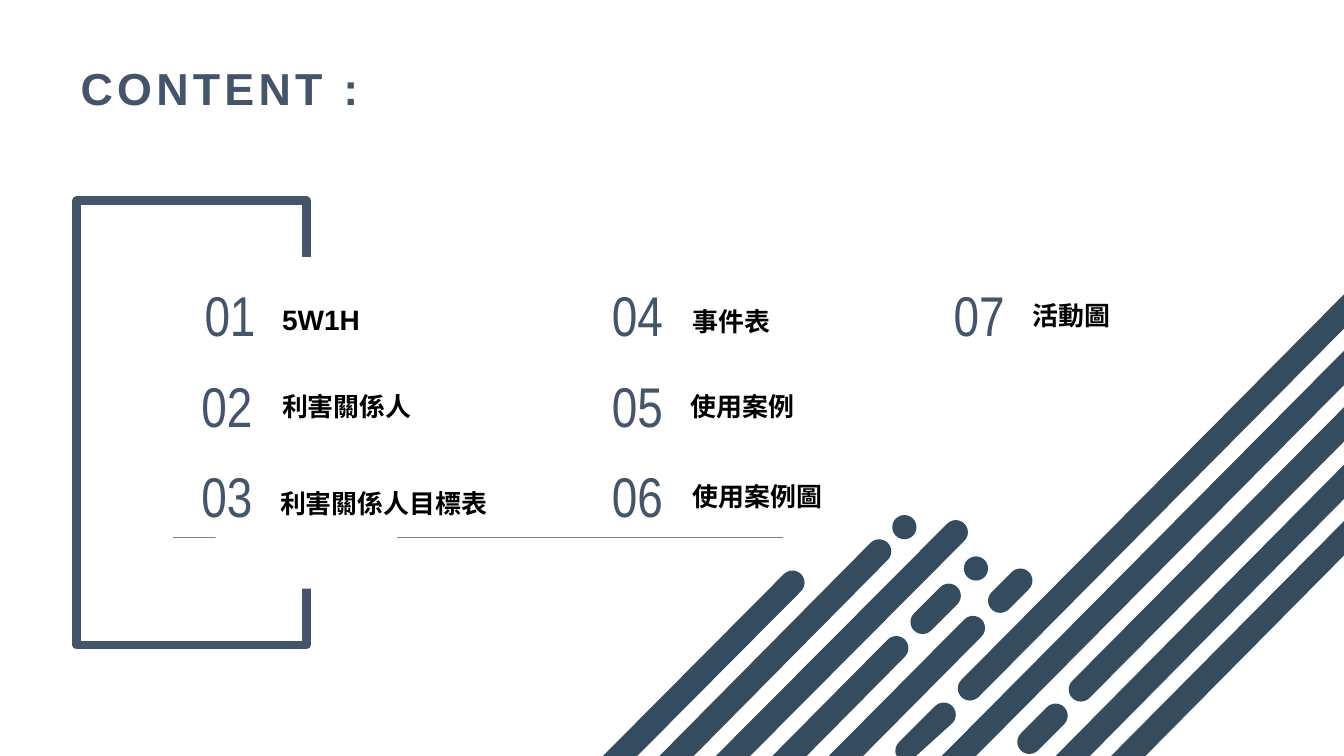
import math

import pptx
import pptx.dml.color
import pptx.enum.shapes
import pptx.enum.text
import pptx.oxml.ns
import pptx.util
from lxml import etree
from pptx.util import Inches

COLORS = {"slate": "44546A", "stripe": "354B5E", "rule": "808080", "white": "FFFFFF", "black": "000000"}
WIDTH, HEIGHT = 13.33, 7.5
RADIUS = 0.12
UNITS = 1000


def rgb(name):
    return pptx.dml.color.RGBColor.from_string(COLORS[name])


def write(shape, text, size, font, color, bold, anchor):
    frame = shape.text_frame
    frame.text = text
    frame.vertical_anchor = anchor
    frame.auto_size = pptx.enum.text.MSO_AUTO_SIZE.NONE
    paragraph = frame.paragraphs[0]
    paragraph.alignment = pptx.enum.text.PP_ALIGN.LEFT
    run = paragraph.runs[0]
    run.font.size = pptx.util.Pt(size)
    run.font.name = font
    run.font.bold = bold
    run.font.color.rgb = rgb(color)
    return run


presentation = pptx.Presentation()
presentation.slide_width = Inches(WIDTH)
presentation.slide_height = Inches(HEIGHT)
slide = presentation.slides.add_slide(presentation.slide_layouts[5])
shapes = slide.shapes
middle = pptx.enum.text.MSO_ANCHOR.MIDDLE
bottom = pptx.enum.text.MSO_ANCHOR.BOTTOM

title = shapes.title
title.left, title.top, title.width, title.height = [Inches(v) for v in (0.7, 0.36, 3.9, 1.01)]
title_run = write(title, "CONTENT :", 32, "Arial", "slate", True, middle)
title_run.font._element.set("spc", "300")

rule = shapes.add_connector(
    pptx.enum.shapes.MSO_CONNECTOR.STRAIGHT, Inches(1.72), Inches(5.33), Inches(7.77), Inches(5.33))
rule.line.color.rgb = rgb("rule")
rule.line.width = pptx.util.Pt(0.5)
etree.SubElement(rule._element.spPr, pptx.oxml.ns.qn("a:effectLst"))

# Each stripe runs from its lower-left centre to its upper-right centre
stripes = [
    ((6.15, HEIGHT), (7.86, 5.78)),
    ((6.71, HEIGHT), (8.72, 5.47)),
    ((7.27, HEIGHT), (9.48, 5.28)),
    ((7.83, HEIGHT), (8.89, 6.43)),
    ((8.39, HEIGHT), (9.65, 6.23)),
    ((9.51, HEIGHT), (WIDTH, 3.65)),
    ((10.64, HEIGHT), (WIDTH, 4.78)),
    ((11.19, HEIGHT), (WIDTH, 5.34)),
    ((9.0, 7.45), (9.36, 7.09)),
    ((9.15, 6.17), (9.41, 5.91)),
    ((9.62, 6.83), (WIDTH, 3.09)),
    ((9.92, 5.96), (10.12, 5.76)),
    ((10.21, 7.36), (10.47, 7.1)),
    ((10.72, 6.84), (WIDTH, 4.21)),
    ((8.97, 5.23), (8.97, 5.23)),
    ((9.68, 5.64), (9.68, 5.64)),
]
half_cut = RADIUS * math.sqrt(2)
builder = None
for low, high in stripes:
    outline = []
    for (x, y), start in ((high, 225), (low, 45)):
        if x == WIDTH:
            outline += [(x, y - half_cut), (x, y + half_cut)]
        elif y == HEIGHT:
            outline += [(x + half_cut, y), (x - half_cut, y)]
        else:
            for step in range(13):
                angle = math.radians(start + 15 * step)
                outline.append((x + RADIUS * math.cos(angle), min(y + RADIUS * math.sin(angle), HEIGHT)))
    points = [(round(x * UNITS), round(y * UNITS)) for x, y in outline]
    if builder is None:
        builder = shapes.build_freeform(*points[0], scale=Inches(1) / UNITS)
    else:
        builder.move_to(*points[0])
    builder.add_line_segments(points[1:], close=True)
stripe_art = builder.convert_to_shape()
stripe_art.shadow.inherit = False
stripe_art.fill.solid()
stripe_art.fill.fore_color.rgb = rgb("stripe")
stripe_art.line.fill.background()

rectangle = pptx.enum.shapes.MSO_SHAPE.RECTANGLE
bracket = shapes.add_shape(rectangle, Inches(0.76), Inches(1.99), Inches(2.28), Inches(4.41))
bracket.shadow.inherit = False
bracket.fill.background()
bracket.line.color.rgb = rgb("slate")
bracket.line.width = pptx.util.Pt(6)
etree.SubElement(bracket.line._get_or_add_ln(), pptx.oxml.ns.qn("a:round"))

opening = shapes.add_shape(rectangle, Inches(2.14), Inches(2.55), Inches(1.8), Inches(3.29))
opening.shadow.inherit = False
opening.fill.solid()
opening.fill.fore_color.rgb = rgb("white")
opening.line.fill.background()

entries = [
    ("5W1H", 1.93, 2.7, 2.99, 20),
    ("利害關係人", 1.9, 2.7, 3.84, 18.5),
    ("利害關係人目標表", 1.9, 2.68, 4.8, 18.5),
    ("事件表", 5.97, 6.77, 3.0, 18.5),
    ("使用案例", 5.97, 6.75, 3.84, 18.5),
    ("使用案例圖", 5.97, 6.77, 4.74, 18.5),
    ("活動圖", 9.36, 10.14, 2.94, 18.5),
]
for index, (label, number_left, label_left, label_top, size) in enumerate(entries):
    number_top = 2.73 + 0.9 * (index % 3)
    number_box = shapes.add_textbox(Inches(number_left), Inches(number_top), Inches(0.79), Inches(0.77))
    write(number_box, f"{index + 1:02}", 40, "Arial Narrow", "slate", False, middle)
    label_box = shapes.add_textbox(Inches(label_left), Inches(label_top), Inches(4.64), Inches(0.39))
    write(label_box, label, size, "Arial", "black", True, bottom)

presentation.save("out.pptx")
